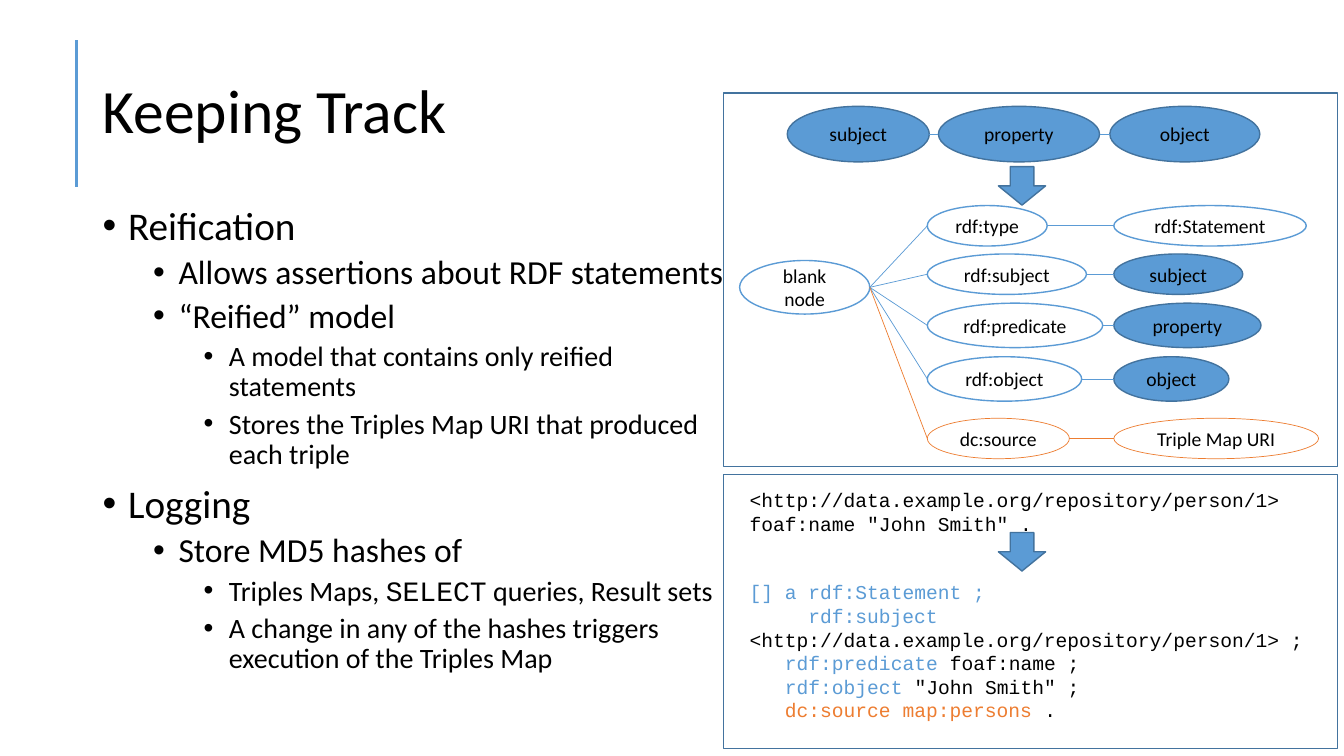
import lxml.etree
import pptx
import pptx.dml.color
import pptx.enum.shapes
import pptx.enum.text
import pptx.oxml.ns
import pptx.util

Cm = pptx.util.Cm
Pt = pptx.util.Pt
RGBColor = pptx.dml.color.RGBColor
Kind = pptx.enum.shapes.MSO_SHAPE
Align = pptx.enum.text.PP_ALIGN
Anchor = pptx.enum.text.MSO_ANCHOR
qn = pptx.oxml.ns.qn

BLUE = RGBColor(0x5B, 0x9B, 0xD5)
NAVY = RGBColor(0x43, 0x73, 0x9E)
ORANGE = RGBColor(0xED, 0x7D, 0x31)
WHITE = RGBColor(0xFF, 0xFF, 0xFF)
BLACK = RGBColor(0, 0, 0)
SANS = "Calibri"
MONO = "Courier New"

LEVELS = [(28, 10), (24, 5), (20, 5)]
POINTS = [
    (0, ["Reification"]),
    (1, ["Allows assertions about RDF statements"]),
    (1, ["“Reified” model"]),
    (2, ["A model that contains only reified statements"]),
    (2, ["Stores the Triples Map URI that produced each triple"]),
    (0, ["Logging"]),
    (1, ["Store MD5 hashes of"]),
    (2, ["Triples Maps, ", "SELECT", " queries, Result sets"]),
    (2, ["A change in any of the hashes triggers execution of the Triples Map"]),
]
TRIPLE = [("subject", 19.84, 3.58), ("property", 23.65, 4.06), ("object", 27.97, 3.78)]
ROWS = [
    (5.69, 1.02, "rdf:type", 3.02, "rdf:Statement", 4.85, WHITE, BLUE),
    (6.91, 1.02, "rdf:subject", 4.01, "subject", 3.25, BLUE, NAVY),
    (8.2, 1.12, "rdf:predicate", 4.42, "property", 3.71, BLUE, NAVY),
    (9.55, 1.12, "rdf:object", 3.89, "object", 2.9, BLUE, NAVY),
    (11.05, 1.02, "dc:source", 3.58, "Triple Map URI", 5.16, None, ORANGE),
]
INPUT = [(0, [('<http://data.example.org/repository/person/1> foaf:name "John Smith" .', BLACK)])]
OUTPUT = [
    (0, [("[] a rdf:Statement ;", BLUE)]),
    (1.48, [("rdf:subject ", BLUE), ("<http://data.example.org/repository/person/1> ;", BLACK)]),
    (0.89, [("rdf:predicate ", BLUE), ("foaf:name ;", BLACK)]),
    (0.89, [("rdf:object ", BLUE), ('"John Smith" ;', BLACK)]),
    (0.89, [("dc:source map:persons ", ORANGE), (".", BLACK)]),
]


def style(font, size, name=SANS, color=BLACK):
    """Set the size, face and colour of a font."""
    font.size, font.name = Pt(size), name
    font.color.rgb = color


def add_form(slide, kind, left, top, width, height, fill, line, weight=1):
    """Add a flat preset shape, hollow when fill is None."""
    form = slide.shapes.add_shape(kind, Cm(left), Cm(top), Cm(width), Cm(height))
    form.shadow.inherit = False
    if fill is None:
        form.fill.background()
    else:
        form.fill.solid()
        form.fill.fore_color.rgb = fill
    form.line.color.rgb = line
    form.line.width = Pt(weight)
    return form


def add_node(slide, text, left, mid, width, height, fill, line, wrap=False):
    """Add a labelled ellipse centred on the height mid."""
    weight = 0.5 if line == ORANGE else 1
    node = add_form(slide, Kind.OVAL, left, mid - height / 2, width, height, fill, line, weight)
    frame = node.text_frame
    frame.word_wrap = wrap
    frame.vertical_anchor = Anchor.MIDDLE
    para = frame.paragraphs[0]
    para.text = text
    para.alignment = Align.CENTER
    style(para.font, 14)
    return node


def add_line(slide, start, end, color, weight):
    """Add a straight line without a shadow."""
    line = slide.shapes.add_connector(pptx.enum.shapes.MSO_CONNECTOR.STRAIGHT, *start, *end)
    line.line.color.rgb = color
    line.line.width = Pt(weight)
    lxml.etree.SubElement(line._element.spPr, qn("a:effectLst"))


def link(slide, one, two, color=BLUE):
    """Join the right side of one node to the left side of another."""
    start = one.left + one.width, one.top + one.height // 2
    add_line(slide, start, (two.left, two.top + two.height // 2), color, 0.5)


def add_arrow(slide, top):
    """Add a block arrow that points down."""
    arrow = add_form(slide, Kind.RIGHT_ARROW, 25.27, top, 0.97, 1.19, BLUE, NAVY)
    arrow.rotation = 90


def add_frame(slide, left, top, width, height):
    """Add a wrapping text box and return its text frame."""
    box = slide.shapes.add_textbox(Cm(left), Cm(top), Cm(width), Cm(height))
    box.text_frame.word_wrap = True
    return box.text_frame


def add_para(frame, first):
    """Return the first paragraph of a frame or a new one."""
    return frame.paragraphs[0] if first else frame.add_paragraph()


def add_title(slide):
    """Add the title with the rule on its left."""
    add_line(slide, (Cm(1.93), Cm(1.02)), (Cm(1.93), Cm(4.7)), BLUE, 2)
    frame = add_frame(slide, 2.34, 1.02, 29.21, 3.68)
    frame.vertical_anchor = Anchor.MIDDLE
    para = frame.paragraphs[0]
    para.text = "Keeping Track"
    para.line_spacing = 0.9
    style(para.font, 44)


def add_points(slide):
    """Add the bullet list."""
    frame = add_frame(slide, 2.34, 5.08, 16.18, 13.97)
    for i, (level, parts) in enumerate(POINTS):
        para = add_para(frame, i == 0)
        size, space = LEVELS[level]
        para.level = level
        props = para._p.get_or_add_pPr()
        props.set("marL", str(Cm(0.64 + 1.27 * level)))
        props.set("indent", str(-Cm(0.64)))
        lxml.etree.SubElement(props, qn("a:buFont"), typeface="Arial")
        lxml.etree.SubElement(props, qn("a:buChar"), char="•")
        para.line_spacing = 0.9
        para.space_before = Pt(space)
        style(para.font, size)
        for part in parts:
            run = para.add_run()
            run.text = part
            if part == "SELECT":
                run.font.name = MONO


def add_code(slide, top, width, height, lines):
    """Add a code block with first-line indents."""
    frame = add_frame(slide, 18.64, top, width, height)
    for i, (indent, parts) in enumerate(lines):
        para = add_para(frame, i == 0)
        props = para._p.get_or_add_pPr()
        props.set("marL", "0")
        props.set("indent", str(Cm(indent)))
        style(para.font, 14, MONO)
        for text, color in parts:
            run = para.add_run()
            run.text = text
            run.font.color.rgb = color


def add_graph(slide):
    """Add the triple and its reified form."""
    nodes = [add_node(slide, text, left, 3.38, width, 1.4, BLUE, NAVY)
             for text, left, width in TRIPLE]
    for one, two in zip(nodes, nodes[1:]):
        link(slide, one, two)
    blank = add_node(slide, "blank node", 18.64, 7.24, 3.28, 1.35, WHITE, BLUE, True)
    for mid, height, key, wide, value, span, fill, line in ROWS:
        extra = line == ORANGE
        color = ORANGE if extra else BLUE
        left = add_node(slide, key, 23.37, mid, wide, height, None if extra else WHITE, color)
        right = add_node(slide, value, 28.07, mid, span, height, fill, line)
        link(slide, blank, left, color)
        link(slide, left, right, color)
    add_arrow(slide, 4.09)


def main():
    """Build the slide and save it."""
    deck = pptx.Presentation()
    deck.slide_width, deck.slide_height = Cm(33.87), Cm(19.05)
    slide = deck.slides.add_slide(deck.slide_layouts[6])
    add_title(slide)
    add_points(slide)
    add_graph(slide)
    add_code(slide, 12.17, 14.86, 1.45, INPUT)
    add_code(slide, 14.5, 15.04, 3.84, OUTPUT)
    for top, height in [(2.34, 9.42), (11.96, 6.91)]:
        add_form(slide, Kind.RECTANGLE, 18.24, top, 15.47, height, None, NAVY)
    add_arrow(slide, 13.31)
    deck.save("out.pptx")


if __name__ == "__main__":
    main()
